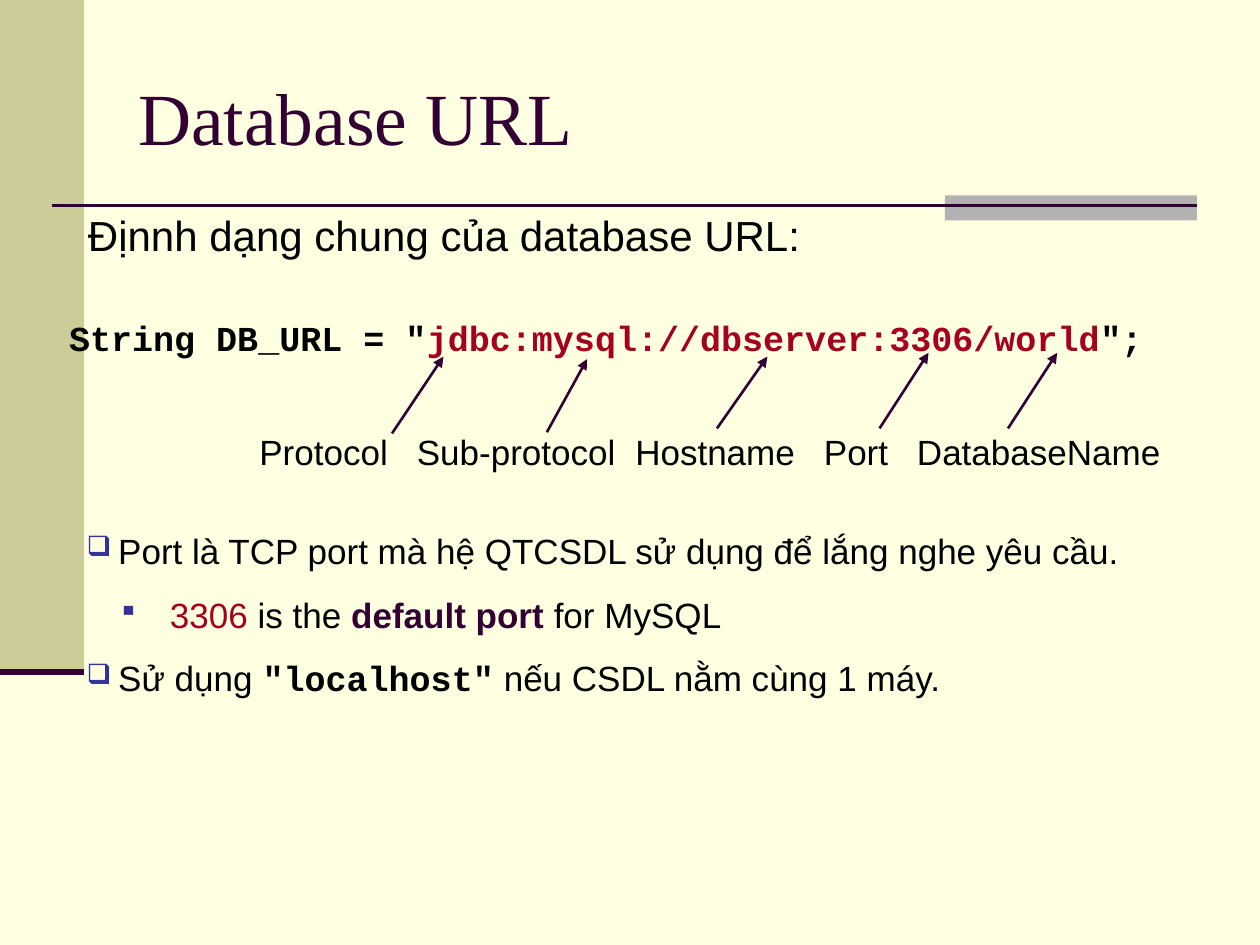
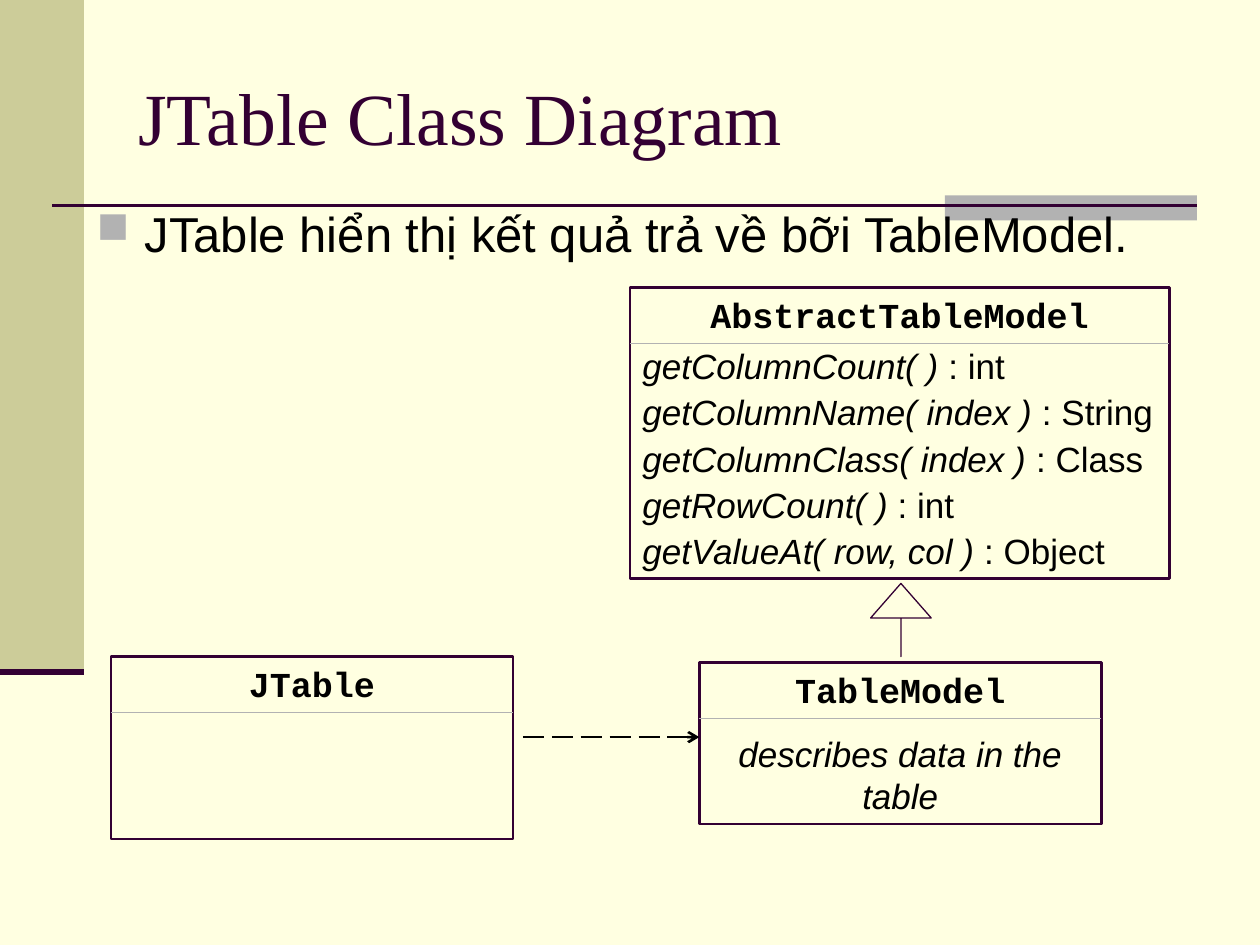
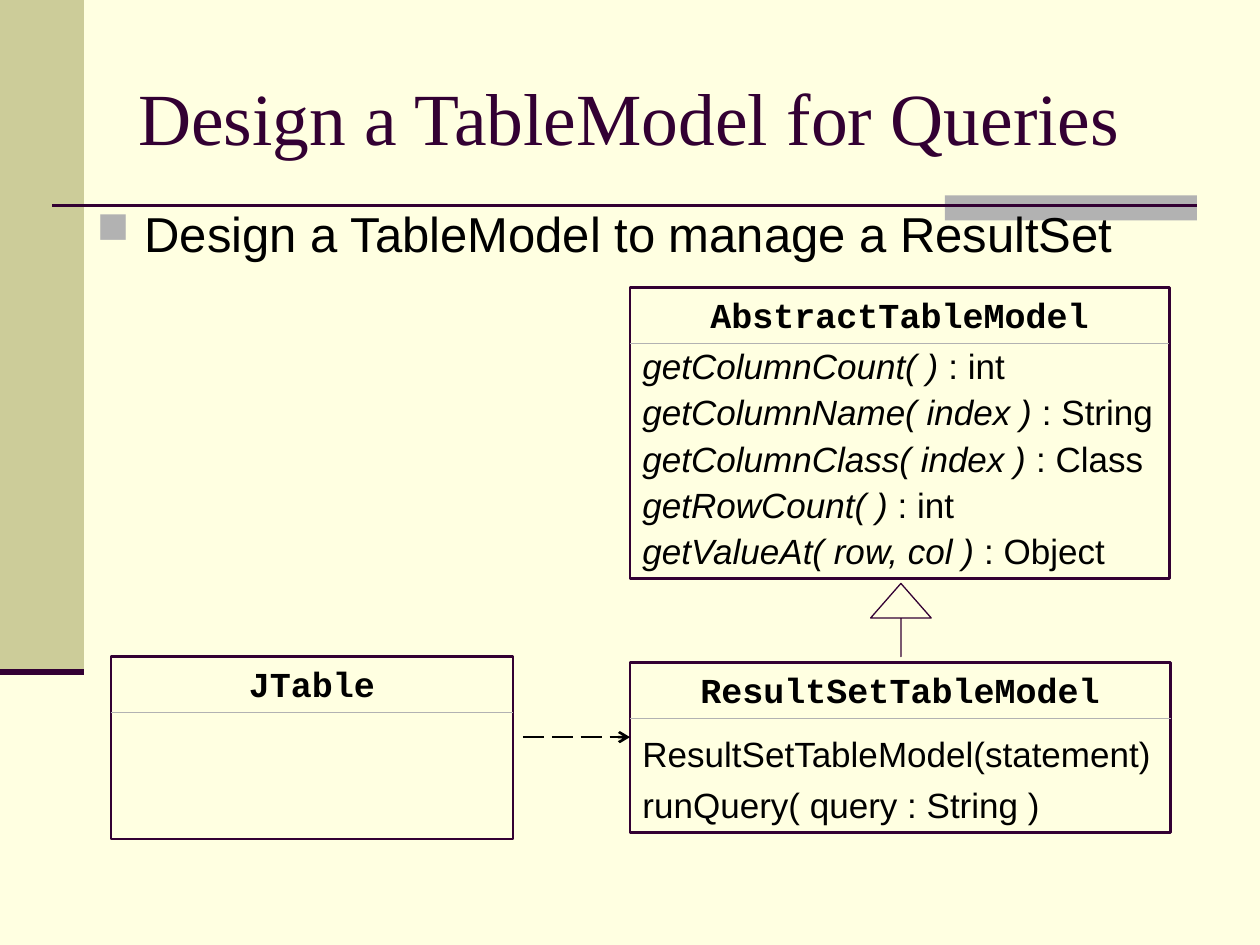
"""Build three slides on JDBC database URLs and table models."""
from dataclasses import dataclass, field
from typing import Optional

import pptx
import pptx.dml.color
import pptx.enum.dml
import pptx.enum.shapes
import pptx.enum.text
import pptx.oxml.ns
import pptx.util
from lxml import etree

Pt = pptx.util.Pt
RGB = pptx.dml.color.RGBColor.from_string
SHAPE = pptx.enum.shapes.MSO_SHAPE
ALIGN = pptx.enum.text.PP_ALIGN
ANCHOR = pptx.enum.text.MSO_ANCHOR
qn = pptx.oxml.ns.qn


@dataclass(frozen=True)
class Theme:
    """Colours, fonts and type sizes of the deck."""
    paper: str = "FFFFE1"
    band: str = "CCCC99"
    grey: str = "B2B2B2"
    plum: str = "330033"
    ink: str = "000000"
    red: str = "A50021"
    blue: str = "333399"
    sans: str = "Arial"
    serif: str = "Times New Roman"
    mono: str = "Courier New"
    title: int = 42
    body: int = 28
    lead: int = 24
    text: int = 20
    thin: float = 0.75
    rule: float = 1.5
    thick: float = 3.5


T = Theme()


@dataclass
class Run:
    """A stretch of text in one style."""
    text: str
    size: int = T.text
    font: str = T.sans
    color: str = T.ink
    bold: bool = False
    italic: bool = False


@dataclass
class Bullet:
    """A bullet character with its colour, size and indents."""
    char: str
    color: str
    percent: int
    margin: float
    hang: float


@dataclass
class Para:
    """A paragraph made of runs."""
    runs: list
    align: ALIGN = ALIGN.LEFT
    before: float = 0
    bullet: Optional[Bullet] = None
    tabs: list = field(default_factory=list)


SQUARE = Bullet("■", T.grey, 90, 27.4, 27.4)
BOX = Bullet("❑", T.blue, 80, 18, 18)
SUB = Bullet("▪", T.blue, 80, 47.5, 29.5)


def code(text, color=T.ink):
    """Return a bold monospaced run."""
    return Run(text, font=T.mono, color=color, bold=True)


def format_paragraph(p, para):
    """Apply bullet, tab stops, spacing and alignment."""
    pPr = p._p.get_or_add_pPr()
    if para.bullet:
        b = para.bullet
        pPr.set("marL", str(Pt(b.margin)))
        pPr.set("indent", str(-Pt(b.hang)))
        clr = etree.SubElement(pPr, qn("a:buClr"))
        etree.SubElement(clr, qn("a:srgbClr"), val=b.color)
        etree.SubElement(pPr, qn("a:buSzPct"), val=str(b.percent * 1000))
        etree.SubElement(pPr, qn("a:buChar"), char=b.char)
    if para.tabs:
        tabs = etree.SubElement(pPr, qn("a:tabLst"))
        for pos in para.tabs:
            etree.SubElement(tabs, qn("a:tab"), pos=str(Pt(pos)), algn="l")
    p.alignment = para.align
    p.space_before = Pt(para.before)


def write(sp, paras, anchor=ANCHOR.TOP):
    """Fill a shape with paragraphs, run by run."""
    tf = sp.text_frame
    tf.word_wrap = True
    tf.vertical_anchor = anchor
    for i, para in enumerate(paras):
        p = tf.add_paragraph() if i else tf.paragraphs[0]
        format_paragraph(p, para)
        for run in para.runs:
            r = p.add_run()
            r.text = run.text
            r.font.size = Pt(run.size)
            r.font.name = run.font
            r.font.bold = run.bold
            r.font.italic = run.italic
            r.font.color.rgb = RGB(run.color)


def add_text(s, box, paras, anchor=ANCHOR.TOP):
    """Add a wrapping text box."""
    write(s.shapes.add_textbox(*map(Pt, box)), paras, anchor)


def add_shape(s, kind, box, fill=None, line=None, width=T.rule):
    """Add a flat preset shape."""
    sp = s.shapes.add_shape(kind, *map(Pt, box))
    sp.shadow.inherit = False
    if fill:
        sp.fill.solid()
        sp.fill.fore_color.rgb = RGB(fill)
    else:
        sp.fill.background()
    if line:
        sp.line.color.rgb = RGB(line)
        sp.line.width = Pt(width)
    else:
        sp.line.fill.background()
    return sp


def add_line(s, start, end, color=T.plum, width=T.rule, head=None, dash=None):
    """Add a straight line, with an arrowhead or dashes if asked."""
    cx = s.shapes.add_connector(pptx.enum.shapes.MSO_CONNECTOR.STRAIGHT,
                                *map(Pt, start + end))
    cx.line.color.rgb = RGB(color)
    cx.line.width = Pt(width)
    if dash:
        cx.line.dash_style = dash
    if head:
        etree.SubElement(cx.line._get_or_add_ln(), qn("a:tailEnd"), type=head)
    etree.SubElement(cx._element.spPr, qn("a:effectLst"))


def add_slide(prs, title):
    """Add a slide with background, bands, rules and title."""
    s = prs.slides.add_slide(prs.slide_layouts[6])
    s.background.fill.solid()
    s.background.fill.fore_color.rgb = RGB(T.paper)
    add_shape(s, SHAPE.RECTANGLE, (0, 0, 48, 384), T.band)
    add_shape(s, SHAPE.RECTANGLE, (540, 111.6, 144, 14.4), T.grey)
    add_line(s, (30, 117.5), (684, 117.5))
    add_line(s, (0, 384), (48, 384), width=T.thick)
    add_text(s, (72, 21.6, 612, 90),
             [Para([Run(title, T.title, T.serif, T.plum)])], ANCHOR.MIDDLE)
    return s


def add_class(s, box, name, members=()):
    """Add a class box with its name, a divider and its members."""
    left, top, width, _ = box
    sp = add_shape(s, SHAPE.RECTANGLE, box, line=T.plum)
    write(sp, [Para([code(name)], ALIGN.CENTER), *members])
    y = top + 32
    add_line(s, (left, y), (left + width, y), T.grey, T.thin)


def add_model_slide(prs, title, statement, box, name, members):
    """Add a class diagram around one table model class."""
    s = add_slide(prs, title)
    add_text(s, (48.2, 113, 623.5, 41),
             [Para([Run(statement, T.body)], bullet=SQUARE)])
    add_class(s, (63.4, 375.1, 229.7, 104.4), "JTable")
    add_class(s, box, name, members)
    add_line(s, (298.8, 421.2), (box[0], 421.2), T.ink, head="arrow",
             dash=pptx.enum.dml.MSO_LINE.LONG_DASH)
    methods = [("getColumnCount( ) ", "int"),
               ("getColumnName( index ) ", "String"),
               ("getColumnClass( index ) ", "Class"),
               ("getRowCount( ) ", "int"),
               ("getValueAt( row, col ) ", "Object")]
    add_class(s, (360, 164.2, 308.2, 166.3), "AbstractTableModel",
              [Para([Run(call, italic=True), Run(": " + kind)],
                    before=2.5 if i else 5)
               for i, (call, kind) in enumerate(methods)])
    sp = add_shape(s, SHAPE.RIGHT_ARROW, (493.9, 337, 41.8, 34.6),
                   T.paper, T.plum, T.thin)
    sp.rotation = 270
    sp.adjustments[0] = 0
    sp.adjustments[1] = 0.57


def add_url_slide(prs):
    """Add the slide that names the parts of a database URL."""
    s = add_slide(prs, "Database URL")
    add_text(s, (32.4, 177.1, 638, 31.7),
             [Para([code('String DB_URL = "'),
                    code("jdbc:mysql://dbserver:3306/world", T.red),
                    code('";')])])
    add_text(s, (43.2, 116, 630.7, 36),
             [Para([Run("Địnnh dạng chung của database URL:", T.lead)])])
    labels = ["Protocol", "Sub-protocol", "Hostname", "Port", "DatabaseName"]
    add_text(s, (141.1, 242.6, 530, 31.7),
             [Para([Run("\t".join(labels))], tabs=[90, 214.8, 322.6, 375.8])])
    for start, end in [((224, 247.7), (253.4, 203.8)),
                       ((312.5, 247), (335.5, 205.2)),
                       ((409.7, 244.8), (438.5, 203.8)),
                       ((502.6, 244.8), (530.6, 201.6)),
                       ((576, 244.8), (604.1, 201.6))]:
        add_line(s, start, end, head="triangle")
    add_text(s, (42.5, 298.8, 630.7, 104.4), [
        Para([Run("Port là TCP port mà hệ QTCSDL sử dụng để lắng nghe "
                  "yêu cầu.")], bullet=BOX),
        Para([Run("3306", color=T.red), Run(" is the "),
              Run("default port", color=T.plum, bold=True),
              Run(" for MySQL")], before=12.5, bullet=SUB),
        Para([Run("Sử dụng "), code('"localhost"'),
              Run(" nếu CSDL nằm cùng 1 máy.")], before=12.5, bullet=BOX)])


def main():
    """Build and save the deck."""
    prs = pptx.Presentation()
    prs.slide_width, prs.slide_height = Pt(720), Pt(540)
    add_url_slide(prs)
    add_model_slide(
        prs, "JTable Class Diagram",
        "JTable hiển thị kết quả trả về bỡi TableModel.",
        (399.6, 378.7, 229.7, 92.2), "TableModel",
        [Para([Run("describes data in the table", italic=True)],
              ALIGN.CENTER, 12.5)])
    add_model_slide(
        prs, "Design a TableModel for Queries",
        "Design a TableModel to manage a ResultSet",
        (360, 378.7, 308.9, 97.2), "ResultSetTableModel",
        [Para([Run("ResultSetTableModel(statement)")], before=12.5),
         Para([Run("runQuery( query : String )")], before=5)])
    prs.save("out.pptx")


if __name__ == "__main__":
    main()
